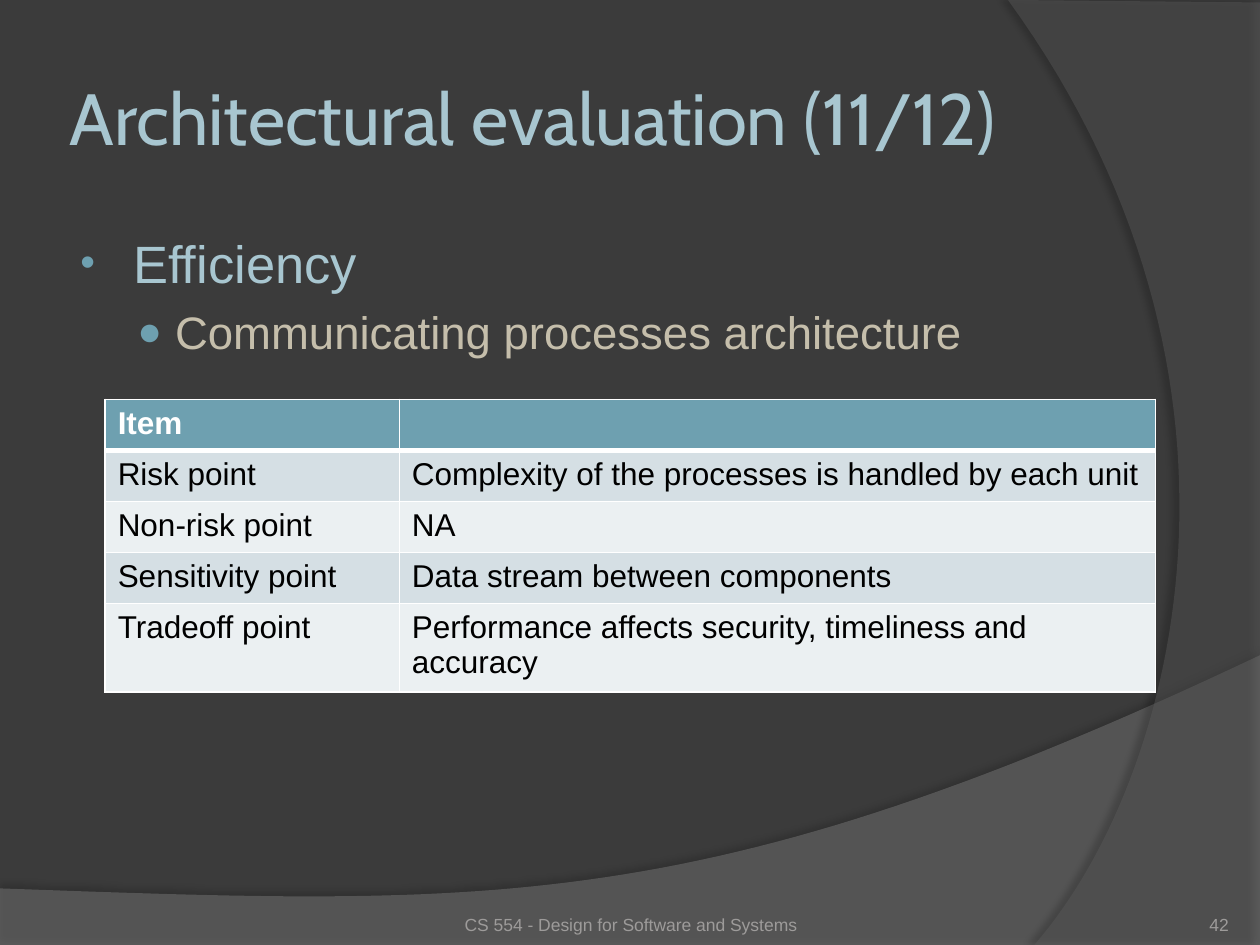
import pptx
import pptx.util
import pptx.dml.color
import pptx.enum.text
import pptx.oxml
import pptx.oxml.ns
from lxml import etree

Cm, Pt = pptx.util.Cm, pptx.util.Pt
rgb = pptx.dml.color.RGBColor.from_string
qn = pptx.oxml.ns.qn
ALIGN, ANCHOR = pptx.enum.text.PP_ALIGN, pptx.enum.text.MSO_ANCHOR

COLORS = {
    "background": "3B3B3B", "wave": "7F7F7F", "arc": "5E5E5E",
    "heading": "A8C6D0", "detail": "C5BEAB", "accent": "6EA0B0",
    "footer": "9D9B9A", "white": "FFFFFF", "black": "000000",
    "band_dark": "D5DFE4", "band_light": "EBF0F2",
}


def add_run(paragraph, text, size, color, font="Arial", bold=False):
    run = paragraph.add_run()
    run.text = text
    run.font.size = Pt(size)
    run.font.name = font
    run.font.bold = bold
    run.font.color.rgb = rgb(COLORS[color])


def add_box(left, top, width, height, anchor, insets):
    frame = slide.shapes.add_textbox(Cm(left), Cm(top), Cm(width), Cm(height)).text_frame
    frame.word_wrap = True
    frame.vertical_anchor = anchor
    (frame.margin_left, frame.margin_top,
     frame.margin_right, frame.margin_bottom) = [Cm(inset) for inset in insets]
    return frame


deck = pptx.Presentation()
deck.slide_width, deck.slide_height = Cm(25.4), Cm(19.05)
slide = deck.slides.add_slide(deck.slide_layouts[6])
slide.background.fill.solid()
slide.background.fill.fore_color.rgb = rgb(COLORS["background"])

# Background sweeps: straight corners, then one Bezier curve drawn in short steps
# corners, curve controls and end, fill, opacity %, shadow opacity %, distance pt, direction
sweeps = [
    ([(0, 17.91), (0, 19.08), (25.4, 19.08), (25.4, 13.21)],
     [(14.2, 18.52), (9.93, 18.26), (0, 17.91)], "wave", 45, 35, 3.5, 270),
    ([(25.4, 0.05), (25.4, 19.05), (20.85, 19.05)],
     [(23.75, 15.72), (25.86, 7.62), (20.32, 0)], "arc", 40, 45, 4, 180),
]
STEPS = 60
for corners, controls, color, opacity, shade, distance, direction in sweeps:
    bezier = [corners[-1]] + controls
    outline = list(corners)
    for step in range(1, STEPS + 1):
        t = step / STEPS
        weights = ((1 - t) ** 3, 3 * t * (1 - t) ** 2, 3 * t * t * (1 - t), t ** 3)
        outline.append([sum(w * p[axis] for w, p in zip(weights, bezier)) for axis in (0, 1)])
    points = [(Cm(x), Cm(y)) for x, y in outline]
    builder = slide.shapes.build_freeform(*points[0])
    builder.add_line_segments(points[1:], close=True)
    sweep = builder.convert_to_shape()
    sweep.line.fill.background()
    sweep.fill.solid()
    sweep.fill.fore_color.rgb = rgb(COLORS[color])
    sweep.shadow.inherit = False
    properties = sweep.fill._xPr
    fill_color = properties.find(qn("a:solidFill"))[0]
    etree.SubElement(fill_color, qn("a:alpha"), val=str(opacity * 1000))
    shadow = etree.SubElement(
        properties.find(qn("a:effectLst")), qn("a:outerShdw"), blurRad=str(Pt(4)),
        dist=str(Pt(distance)), dir=str(direction * 60000), algn="ctr", rotWithShape="0")
    shadow_color = etree.SubElement(shadow, qn("a:srgbClr"), val=COLORS["black"])
    etree.SubElement(shadow_color, qn("a:alpha"), val=str(shade * 1000))

# Title
title = add_box(1.27, 0.76, 20.75, 3.18, ANCHOR.MIDDLE, [0.13] * 4)
add_run(title.paragraphs[0], "Architectural evaluation (11/12)", 41.4, "heading", "Cabin")

# Bullets: text, level, indent cm, hanging cm, bullet, bullet size %, size, color
bullets = [
    ("Efficiency", 0, 1.17, 1.07, "•", 80, 30, "heading"),
    ("Communicating processes architecture", 1, 2.01, 0.76, "●", 90, 26, "detail"),
]
body = add_box(1.27, 4.45, 20.75, 12.57, ANCHOR.TOP, (0.25, 0.2, 0.25, 0.13))
for text, level, indent, hanging, mark, scale, size, color in bullets:
    paragraph = body.add_paragraph() if level else body.paragraphs[0]
    paragraph.level = level
    if level:
        paragraph.space_before = Pt(6)
    settings = paragraph._p.get_or_add_pPr()
    settings.set("marL", str(Cm(indent)))
    settings.set("indent", str(-Cm(hanging)))
    bullet_color = etree.SubElement(settings, qn("a:buClr"))
    etree.SubElement(bullet_color, qn("a:srgbClr"), val=COLORS["accent"])
    etree.SubElement(settings, qn("a:buSzPct"), val=str(scale * 1000))
    etree.SubElement(settings, qn("a:buFont"), typeface="Arial")
    etree.SubElement(settings, qn("a:buChar"), char=mark)
    add_run(paragraph, text, size, color)

# Evaluation table
evaluation = [
    ("Item", ""),
    ("Risk point", "Complexity of the processes is handled by each unit"),
    ("Non-risk point", "NA"),
    ("Sensitivity point", "Data stream between components"),
    ("Tradeoff point", "Performance affects security, timeliness and accuracy"),
]
table = slide.shapes.add_table(len(evaluation), 2, Cm(2.12), Cm(8.05),
                               Cm(21.17), Cm(5.15)).table
table.columns[0].width, table.columns[1].width = Cm(5.93), Cm(15.24)
for row, texts in enumerate(evaluation):
    table.rows[row].height = Cm(1.03)
    header = row == 0
    band = "accent" if header else "band_dark" if row % 2 else "band_light"
    for column, text in enumerate(texts):
        cell = table.cell(row, column)
        if text:
            add_run(cell.text_frame.paragraphs[0], text, 18,
                    "white" if header else "black", bold=header)
        cell_settings = cell._tc.get_or_add_tcPr()
        for side in ("lnL", "lnR", "lnT", "lnB"):
            thick = (header and side == "lnB") or (row == 1 and side == "lnT")
            border = etree.SubElement(cell_settings, qn("a:" + side), w=str(Pt(3 if thick else 1)))
            border_fill = etree.SubElement(border, qn("a:solidFill"))
            etree.SubElement(border_fill, qn("a:srgbClr"), val=COLORS["white"])
        cell.fill.solid()
        cell.fill.fore_color.rgb = rgb(COLORS[band])

# Page number and footer
footers = [
    ("42", 22.66, 2.11, ALIGN.RIGHT, (0, 0, 0, 0)),
    ("CS 554 - Design for Software and Systems", 8.69, 8.05, ALIGN.CENTER, (0, 0.13, 0, 0)),
]
for text, left, width, align, insets in footers:
    footer = add_box(left, 17.83, width, 1.02, ANCHOR.BOTTOM, insets).paragraphs[0]
    footer.alignment = align
    add_run(footer, text, 10, "footer")

deck.save("out.pptx")
